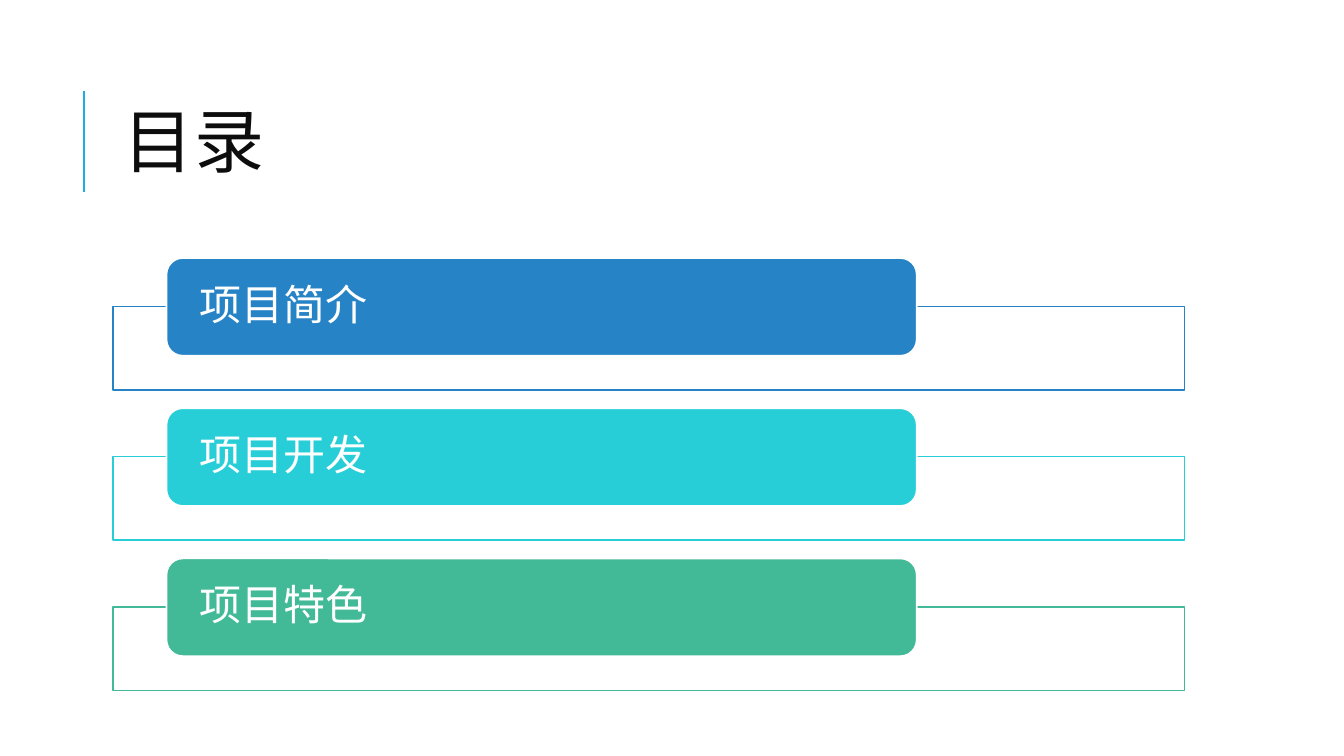
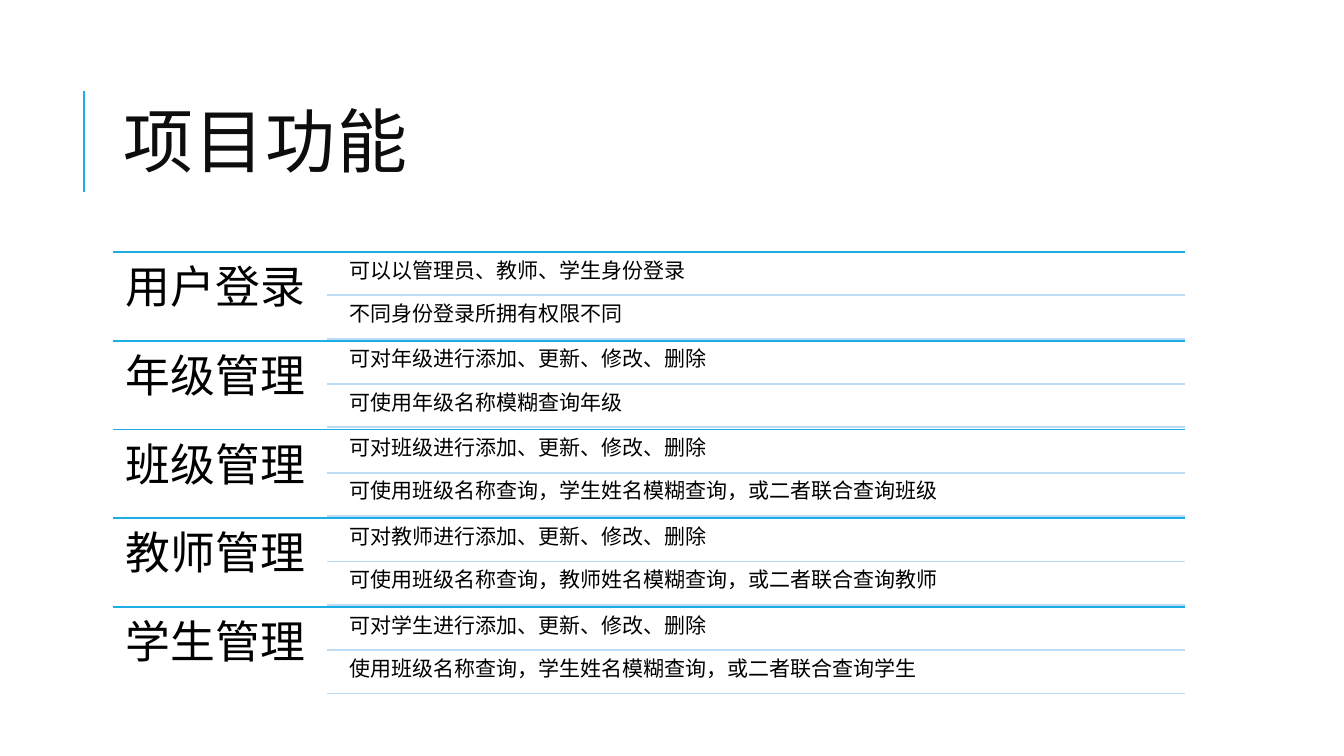
"""Build a contents slide and a feature overview slide."""
from dataclasses import dataclass

from lxml import etree
from pptx import Presentation
from pptx import util as u
from pptx.dml.color import RGBColor
from pptx.enum import shapes, text
from pptx.oxml import ns


@dataclass(frozen=True)
class Theme:
    width: float = 13.33
    height: float = 7.5
    left: float = 1.12
    content: float = 10.63
    white: str = "FFFFFF"
    black: str = "000000"
    title_ink: str = "0D0D0D"
    accent: str = "1CADE4"
    pale: str = "BDDBF2"
    bars: tuple = ("2683C6", "27CED7", "42BA97")
    title_font: str = "Cabin"
    body_font: str = "Calibri"
    title_size: float = 50
    bar_size: float = 30
    label_size: float = 32
    detail_size: float = 15
    rule_weight: float = 1.5
    line_weight: float = 1.25


THEME = Theme()
TITLE_ONLY = 5

TOPICS = ("项目简介", "项目开发", "项目特色")
FEATURES = (
    ("用户登录", ("可以以管理员、教师、学生身份登录", "不同身份登录所拥有权限不同")),
    ("年级管理", ("可对年级进行添加、更新、修改、删除", "可使用年级名称模糊查询年级")),
    ("班级管理", ("可对班级进行添加、更新、修改、删除",
              "可使用班级名称查询，学生姓名模糊查询，或二者联合查询班级")),
    ("教师管理", ("可对教师进行添加、更新、修改、删除",
              "可使用班级名称查询，教师姓名模糊查询，或二者联合查询教师")),
    ("学生管理", ("可对学生进行添加、更新、修改、删除",
              "使用班级名称查询，学生姓名模糊查询，或二者联合查询学生")),
)


def inches(*lengths):
    return [u.Inches(length) for length in lengths]


def column(share):
    return THEME.left + THEME.content * share


def write(frame, words, size, color, font=THEME.body_font, spacing=0.9):
    para = frame.paragraphs[0]
    para.alignment = text.PP_ALIGN.LEFT
    para.line_spacing = spacing
    span = para.add_run()
    span.text = words
    span.font.size = u.Pt(size)
    span.font.name = font
    span.font.color.rgb = RGBColor.from_string(color)
    return span


def set_frame(frame, anchor, side, top=0):
    frame.word_wrap = True
    frame.auto_size = text.MSO_AUTO_SIZE.NONE
    frame.vertical_anchor = anchor
    frame.margin_left = frame.margin_right = u.Inches(side)
    frame.margin_top = frame.margin_bottom = u.Inches(top)


def add_line(page, start, end, color, weight=THEME.line_weight):
    line = page.shapes.add_connector(
        shapes.MSO_CONNECTOR.STRAIGHT, *inches(*start, *end))
    line.line.color.rgb = RGBColor.from_string(color)
    line.line.width = u.Pt(weight)
    properties = line._element.spPr
    etree.SubElement(properties, ns.qn("a:effectLst"))


def add_box(page, kind, place, fill, outline):
    box = page.shapes.add_shape(kind, *inches(*place))
    box.shadow.inherit = False
    box.fill.solid()
    box.fill.fore_color.rgb = RGBColor.from_string(fill)
    box.line.color.rgb = RGBColor.from_string(outline)
    box.line.width = u.Pt(THEME.line_weight)
    return box


def add_text(page, place, words, size, inset):
    box = page.shapes.add_textbox(*inches(*place))
    set_frame(box.text_frame, text.MSO_ANCHOR.TOP, inset, inset)
    write(box.text_frame, words, size, THEME.black)


def add_page(deck, heading):
    page = deck.slides.add_slide(deck.slide_layouts[TITLE_ONLY])
    add_line(page, (0.83, 1.9), (0.83, 0.9), THEME.accent, THEME.rule_weight)
    title = page.shapes.title
    title.left, title.top, title.width, title.height = inches(
        THEME.left, 0.64, THEME.content, 1.64)
    set_frame(title.text_frame, text.MSO_ANCHOR.MIDDLE, 0.1, 0.05)
    span = write(title.text_frame, heading, THEME.title_size,
                 THEME.title_ink, THEME.title_font, 0.8)
    span.font._element.set("spc", "100")
    return page


def add_topic(page, top, words, color):
    panel = add_box(page, shapes.MSO_SHAPE.RECTANGLE,
                    (THEME.left, top + 0.48, THEME.content, 0.83),
                    THEME.white, color)
    tint = panel._element.spPr.find(".//" + ns.qn("a:srgbClr"))
    etree.SubElement(tint, ns.qn("a:alpha"), val="90000")
    bar = add_box(page, shapes.MSO_SHAPE.ROUNDED_RECTANGLE,
                  (column(0.05), top, THEME.content * 0.7, 0.97),
                  color, THEME.white)
    set_frame(bar.text_frame, text.MSO_ANCHOR.MIDDLE, 0.28)
    write(bar.text_frame, words, THEME.bar_size, THEME.white)


def add_feature(page, top, label, details):
    right, split, indent = column(1), column(0.2), column(0.215)
    gap, step = 0.02, 0.43
    add_line(page, (THEME.left, top), (right, top), THEME.accent)
    add_text(page, (THEME.left, top, split - THEME.left, 0.88),
             label, THEME.label_size, 0.13)
    for row, words in enumerate(details):
        upper = top + row * step
        lower = upper + step
        add_text(page, (indent, upper + gap, right - indent, step - gap),
                 words, THEME.detail_size, 0.06)
        add_line(page, (split, lower), (right, lower), THEME.pale)


def add_contents(deck):
    page = add_page(deck, "目录")
    for row, (words, color) in enumerate(zip(TOPICS, THEME.bars)):
        add_topic(page, 2.56 + row * 1.49, words, color)


def add_features(deck):
    page = add_page(deck, "项目功能")
    for row, (label, details) in enumerate(FEATURES):
        add_feature(page, 2.5 + row * 0.88, label, details)


def main():
    deck = Presentation()
    deck.slide_width, deck.slide_height = inches(THEME.width, THEME.height)
    add_contents(deck)
    add_features(deck)
    deck.save("out.pptx")


if __name__ == "__main__":
    main()
